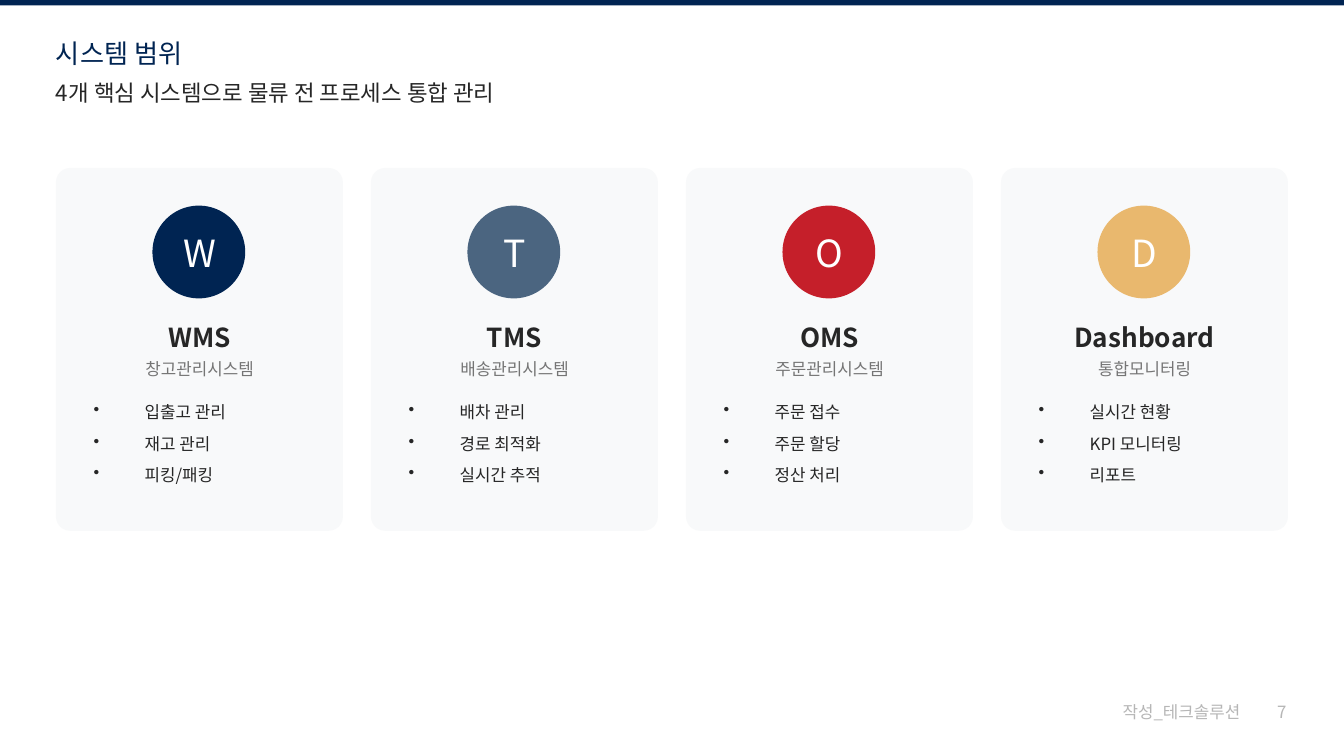
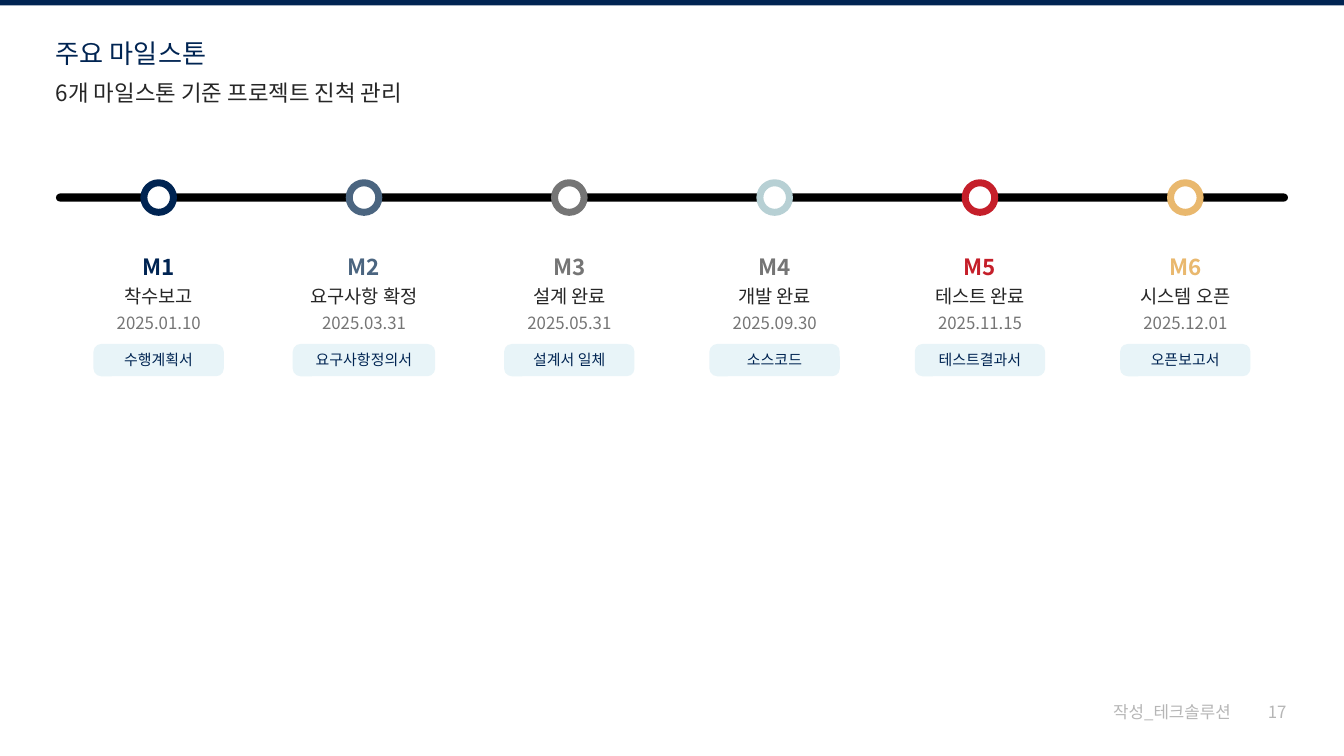
from lxml import etree
from pptx import Presentation
from pptx.dml.color import RGBColor
from pptx.enum.shapes import MSO_SHAPE
from pptx.enum.text import PP_ALIGN
from pptx.oxml.ns import qn
from pptx.util import Inches, Pt

RECT = MSO_SHAPE.RECTANGLE
ROUND = MSO_SHAPE.ROUNDED_RECTANGLE
LEFT = PP_ALIGN.LEFT
MID = PP_ALIGN.CENTER

NAVY = RGBColor(0x00, 0x24, 0x52)
SLATE = RGBColor(0x4B, 0x65, 0x80)
RED = RGBColor(0xC5, 0x1F, 0x2A)
GOLD = RGBColor(0xE9, 0xB8, 0x6E)
TEAL = RGBColor(0xB7, 0xD0, 0xD4)
INK = RGBColor(0x26, 0x26, 0x26)
GRAY = RGBColor(0x75, 0x75, 0x75)
PALE = RGBColor(0xB6, 0xB6, 0xB6)
CARD = RGBColor(0xF8, 0xF9, 0xFA)
CHIP = RGBColor(0xE8, 0xF4, 0xF8)
BLACK = RGBColor(0, 0, 0)
WHITE = RGBColor(0xFF, 0xFF, 0xFF)

FONT = "Noto Sans CJK KR"
WIDE = 10
HIGH = WIDE * 9 / 16
EDGE = WIDE / 24
SPAN = WIDE - 2 * EDGE
GAP = EDGE / 2
INDENT = Inches(0.38)

TITLE = {"size": 14, "color": NAVY}
LEAD = {"size": 12, "color": INK, "before": 6}
BADGE = {"size": 20, "color": WHITE, "align": MID}
NAME = {"size": 14, "color": INK, "bold": True, "align": MID, "after": 4}
SUB = {"size": 9, "color": GRAY, "align": MID, "after": 12}
ITEM = {"size": 9, "color": INK, "after": 6, "bullet": True}
CODE = {"size": 12, "bold": True, "align": MID, "after": 4}
STAGE = {"size": 10, "color": INK, "align": MID, "after": 4}
DATE = {"size": 9, "color": GRAY, "align": MID, "after": 6}
PAPER = {"size": 8, "color": NAVY, "align": MID}
FOOT = {"size": 9, "color": PALE}

CARDS = [
    ("W", 0.29, NAVY, "WMS", "창고관리시스템", ["입출고 관리", "재고 관리", "피킹/패킹"]),
    ("T", 0.19, SLATE, "TMS", "배송관리시스템", ["배차 관리", "경로 최적화", "실시간 추적"]),
    ("O", 0.24, RED, "OMS", "주문관리시스템", ["주문 접수", "주문 할당", "정산 처리"]),
    ("D", 0.22, GOLD, "Dashboard", "통합모니터링", ["실시간 현황", "KPI 모니터링", "리포트"]),
]

STEPS = [
    (NAVY, NAVY, "착수보고", "2025.01.10", "수행계획서", 0.97),
    (SLATE, SLATE, "요구사항 확정", "2025.03.31", "요구사항정의서", 1.06),
    (GRAY, GRAY, "설계 완료", "2025.05.31", "설계서 일체", 0.97),
    (TEAL, GRAY, "개발 완료", "2025.09.30", "소스코드", 0.97),
    (RED, RED, "테스트 완료", "2025.11.15", "테스트결과서", 0.97),
    (GOLD, GOLD, "시스템 오픈", "2025.12.01", "오픈보고서", 0.97),
]


def add_box(slide, kind, x, y, w, h, fill, curve=None, edge=None):
    box = slide.shapes.add_shape(kind, *map(Inches, (x, y, w, h)))
    box.shadow.inherit = False
    box.fill.solid()
    box.fill.fore_color.rgb = fill
    if edge is None:
        box.line.fill.background()
    else:
        box.line.color.rgb = edge
        box.line.width = Pt(3.75)
    if curve is not None:
        box.adjustments[0] = curve


def add_dot(para, color):
    props = para._p.get_or_add_pPr()
    props.set("marL", str(INDENT))
    props.set("indent", str(-INDENT))
    tint = etree.SubElement(props, qn("a:buClr"))
    etree.SubElement(tint, qn("a:srgbClr"), val=str(color))
    etree.SubElement(props, qn("a:buChar"), char="•")


def add_text(slide, x, y, w, h, lines, style):
    frame = slide.shapes.add_textbox(*map(Inches, (x, y, w, h))).text_frame
    frame.word_wrap = True
    for side in ("left", "right", "top", "bottom"):
        setattr(frame, f"margin_{side}", 0)
    for i, line in enumerate(lines):
        para = frame.paragraphs[0] if i == 0 else frame.add_paragraph()
        form = {
            "alignment": style.get("align", LEFT),
            "space_before": Pt(style.get("before", 0)),
            "space_after": Pt(style.get("after", 0)),
        }
        for key, value in form.items():
            setattr(para, key, value)
        if style.get("bullet"):
            add_dot(para, style["color"])
        run = para.add_run()
        run.text = line
        face = {"name": FONT, "size": Pt(style["size"]), "bold": style.get("bold", False)}
        for key, value in face.items():
            setattr(run.font, key, value)
        run.font.color.rgb = style["color"]
        etree.SubElement(run._r.get_or_add_rPr(), qn("a:ea"), typeface=FONT)


def add_mid(slide, mid, y, w, h, line, style):
    add_text(slide, mid - w / 2, y, w, h, [line], style)


def add_frame(deck, title, lead, wide, page, slot):
    slide = deck.slides.add_slide(deck.slide_layouts[6])
    add_box(slide, RECT, 0, 0, WIDE, 0.04, NAVY)
    add_text(slide, EDGE, 0.28, wide, 0.23, [title], TITLE)
    add_text(slide, EDGE, 0.59, wide, 0.19, [lead], LEAD)
    left = EDGE + SPAN - slot
    add_text(slide, left - 1.15, 5.22, 0.96, 0.15, ["작성_테크솔루션"], FOOT)
    add_text(slide, left, 5.22, slot, 0.15, [page], FOOT)
    return slide


def add_card(slide, i, mark, slot, color, name, sub, items):
    wide = (SPAN - GAP * (len(CARDS) - 1)) / len(CARDS)
    left = EDGE + i * (wide + GAP)
    mid = left + wide / 2
    add_box(slide, ROUND, left, 1.25, wide, 2.7, CARD, 0.05)
    add_box(slide, ROUND, mid - 0.35, 1.53, 0.69, 0.69, color, 0.5)
    add_mid(slide, mid, 1.71, slot, 0.32, mark, BADGE)
    add_mid(slide, mid, 2.39, 1.74, 0.23, name, NAME)
    add_mid(slide, mid, 2.67, 1.74, 0.15, sub, SUB)
    add_text(slide, left + 0.28, 2.99, 1.58, 0.6, items, ITEM)


def add_step(slide, i, ring, color, stage, date, paper, wide):
    col = SPAN / len(STEPS)
    mid = EDGE + (i + 0.5) * col
    slot = col * 1.1
    add_box(slide, ROUND, mid - 0.11, 1.36, 0.22, 0.22, WHITE, 0.5, ring)
    add_mid(slide, mid, 1.88, slot, 0.19, f"M{i + 1}", {**CODE, "color": color})
    add_mid(slide, mid, 2.12, slot, 0.16, stage, STAGE)
    add_mid(slide, mid, 2.33, slot, 0.15, date, DATE)
    add_box(slide, ROUND, mid - wide / 2, 2.56, wide, 0.24, CHIP, 0.24)
    add_mid(slide, mid, 2.61, wide - 0.27, 0.12, paper, PAPER)


def main():
    deck = Presentation()
    deck.slide_width = Inches(WIDE)
    deck.slide_height = Inches(HIGH)
    scope = add_frame(deck, "시스템 범위", "4개 핵심 시스템으로 물류 전 프로세스 통합 관리", 3.72, "7", 0.08)
    for i, card in enumerate(CARDS):
        add_card(scope, i, *card)
    plan = add_frame(deck, "주요 마일스톤", "6개 마일스톤 기준 프로젝트 진척 관리", 2.93, "17", 0.15)
    add_box(plan, ROUND, EDGE, 1.44, SPAN, 0.06, BLACK, 0.5)
    for i, step in enumerate(STEPS):
        add_step(plan, i, *step)
    deck.save("out.pptx")


if __name__ == "__main__":
    main()
